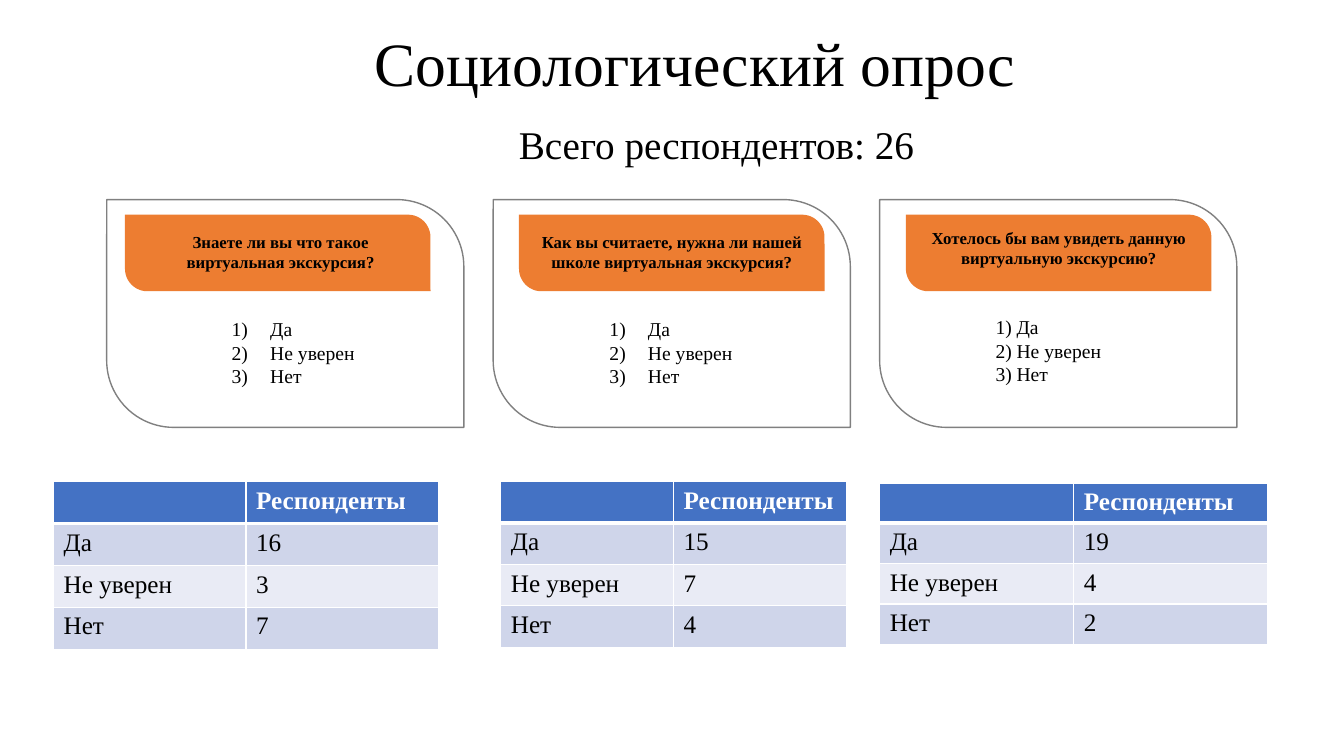
from lxml import etree
from pptx import Presentation
from pptx import util as u
from pptx.dml.color import RGBColor
from pptx.enum import shapes, text
from pptx.oxml.ns import qn

BLACK, WHITE, GREY = "000000", "FFFFFF", "808080"
ORANGE, BLUE, BANDS = "ED7D31", "4472C4", ("CFD5EA", "E9EBF5")
ANSWERS = ("Да", "Не уверен", "Нет")


def color(target, value):
    if hasattr(target, "solid"):
        target.solid()
        target = target.fore_color
    target.rgb = RGBColor.from_string(value)


def write(tf, lines, size=18, bold=False, fill=BLACK, font="Times New Roman",
          align=text.PP_ALIGN.LEFT, number=None):
    for i, line in enumerate(lines):
        p = tf.paragraphs[0] if i == 0 else tf.add_paragraph()
        p.alignment = align
        if number:
            margin, indent = number
            pPr = p._p.get_or_add_pPr()
            pPr.set("marL", str(u.Cm(margin)))
            pPr.set("indent", str(u.Cm(indent)))
            etree.SubElement(pPr, qn("a:buFont"), typeface="+mj-lt")
            etree.SubElement(pPr, qn("a:buAutoNum"), type="arabicParenR")
        r = p.add_run()
        r.text = line
        r.font.name, r.font.size, r.font.bold = font, u.Pt(size), bold
        color(r.font.color, fill)


class SurveySlide:
    """Draws the survey slide's elements, with lengths in centimetres."""

    def __init__(self, prs):
        self.slide = prs.slides.add_slide(prs.slide_layouts[5])
        self.shapes = self.slide.shapes

    def box(self, *place):
        return [u.Cm(v) for v in place]

    def title(self, line, *place):
        sp = self.shapes.title
        sp.left, sp.top, sp.width, sp.height = self.box(*place)
        tf = sp.text_frame
        tf.word_wrap = False
        tf.auto_size = text.MSO_AUTO_SIZE.SHAPE_TO_FIT_TEXT
        tf.vertical_anchor = text.MSO_ANCHOR.TOP
        write(tf, [line], size=44)

    def label(self, lines, *place, parent=None, **style):
        sp = (parent or self.shapes).add_textbox(*self.box(*place))
        tf = sp.text_frame
        tf.word_wrap = True
        tf.auto_size = text.MSO_AUTO_SIZE.SHAPE_TO_FIT_TEXT
        write(tf, lines, **style)

    def card(self, *place, fill=None, line=None, parent=None):
        sp = (parent or self.shapes).add_shape(
            shapes.MSO_SHAPE.ROUND_2_DIAG_RECTANGLE, *self.box(*place))
        sp.shadow.inherit = False
        sp.adjustments[0], sp.adjustments[1] = 0, 0.294
        if fill:
            color(sp.fill, fill)
        else:
            sp.fill.background()
        if line:
            color(sp.line.fill, line)
            sp.line.width = u.Pt(1)
        else:
            sp.line.fill.background()

    def question(self, line, left, text_left, text_top):
        group = self.shapes.add_group_shape().shapes
        self.card(left, 5.41, 7.7, 1.93, fill=ORANGE, parent=group)
        self.label([line], text_left, text_top, 7.19, 1.27, parent=group,
                   size=12, bold=True, align=text.PP_ALIGN.CENTER)

    def cell(self, cell, value, fill, header):
        tcPr = cell._tc.get_or_add_tcPr()
        for side in "LRTB":
            width = 3 if header and side == "B" else 1
            ln = etree.SubElement(tcPr, qn(f"a:ln{side}"), w=str(u.Pt(width)))
            solid = etree.SubElement(ln, qn("a:solidFill"))
            etree.SubElement(solid, qn("a:srgbClr"), val=WHITE)
        color(cell.fill, fill)
        if value:
            write(cell.text_frame, [value], bold=header,
                  fill=WHITE if header else BLACK)

    def table(self, counts, *place):
        rows = [("", "Респонденты"), *zip(ANSWERS, map(str, counts))]
        table = self.shapes.add_table(len(rows), 2, *self.box(*place)).table
        for i, row in enumerate(rows):
            fill = BANDS[(i - 1) % 2] if i else BLUE
            for j, value in enumerate(row):
                self.cell(table.cell(i, j), value, fill, header=i == 0)


def main():
    prs = Presentation()
    prs.slide_width, prs.slide_height = u.Cm(33.87), u.Cm(19.05)
    s = SurveySlide(prs)
    s.title("Социологический опрос", 9.19, 0.51, 16.79, 2.13)
    s.label(["Всего респондентов: 26"], 11.68, 2.9, 12.75, 1.45, size=28,
            align=text.PP_ALIGN.CENTER)

    questions = [
        ("Знаете ли вы что такое виртуальная экскурсия?", 3.15, 3.48, 5.71),
        ("Как вы считаете, нужна ли нашей школе виртуальная экскурсия?",
         13.08, 13.34, 5.71),
        ("Хотелось бы вам увидеть данную виртуальную экскурсию?",
         22.83, 23.09, 5.61),
    ]
    answers = [(7.87, (3.23, -0.97)), (7.87, (3, -0.97)), (7.82, (2.54, -0.53))]
    tables = [
        ((16, 3, 7), 1.35, 12.14, 9.7, 4.22),
        ((15, 7, 4), 12.62, 12.14, 8.71, 4.17),
        ((19, 4, 2), 22.17, 12.17, 9.78, 4.06),
    ]
    for i, (top, number) in enumerate(answers):
        s.card(2.69 + 9.74 * i, 5.03, 9, 5.74, line=GREY)
        s.question(*questions[i])
        s.label(ANSWERS, 3.33 + 9.75 * i, top, 7.7, 2.06, size=14, number=number)
        s.table(*tables[i])
    prs.save("out.pptx")


if __name__ == "__main__":
    main()
